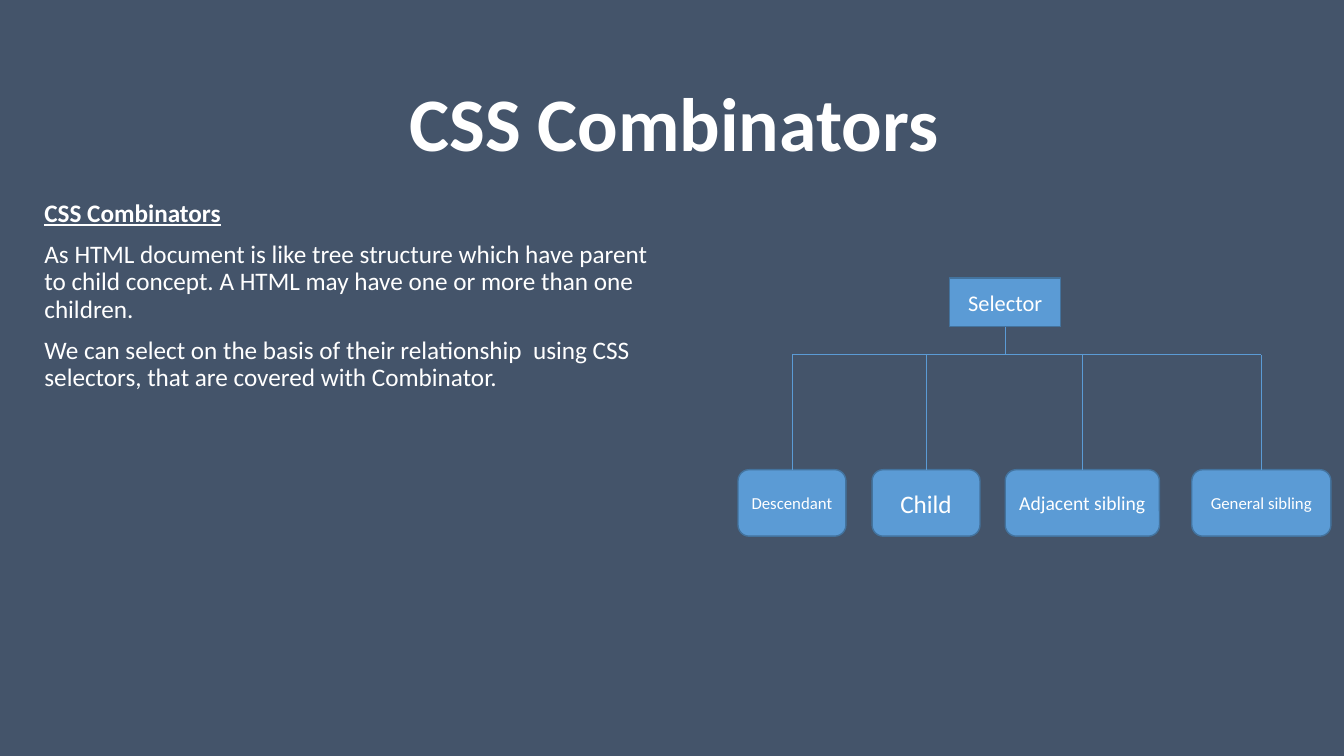
from pptx import Presentation
from pptx import util as u
from pptx.dml.color import RGBColor
from pptx.enum import shapes, text
from pptx.oxml.ns import qn
from lxml import etree

SLATE = RGBColor(0x44, 0x54, 0x6A)
WHITE = RGBColor(0xFF, 0xFF, 0xFF)
BLUE = RGBColor(0x5B, 0x9B, 0xD5)
NAVY = RGBColor(0x43, 0x73, 0x9E)
FONT = "Calibri"

INTRO = [
    ("CSS Combinators", True),
    ("As HTML document is like tree structure which have parent to child "
     "concept. A HTML may have one or more than one children.", False),
    ("We can select on the basis of their relationship  using CSS selectors, "
     "that are covered with Combinator.", False),
]
KINDS = [
    ("Descendant", 0, 1.07, 12),
    ("Child", 1.33, 1.07, 18),
    ("Adjacent sibling", 2.65, 1.53, 14),
    ("General sibling", 4.5, 1.38, 12),
]


def add_run(para, words, size, bold=False, under=False):
    run = para.add_run()
    run.text = words
    font = run.font
    font.name, font.size = FONT, u.Pt(size)
    font.bold, font.underline = bold, under
    font.color.rgb = WHITE


def place(shape, left, top, width, height):
    shape.left, shape.top = u.Inches(left), u.Inches(top)
    shape.width, shape.height = u.Inches(width), u.Inches(height)
    frame = shape.text_frame
    frame.word_wrap = True
    frame.auto_size = text.MSO_AUTO_SIZE.NONE
    return frame


def add_title(slide, left, top, width, height):
    frame = place(slide.shapes.title, left, top, width, height)
    frame.vertical_anchor = text.MSO_ANCHOR.BOTTOM
    para = frame.paragraphs[0]
    para.alignment = text.PP_ALIGN.CENTER
    para.line_spacing = 0.9
    add_run(para, "CSS Combinators", 54, bold=True)


def add_intro(slide, left, top, width, height):
    frame = place(slide.placeholders[1], left, top, width, height)
    frame.vertical_anchor = text.MSO_ANCHOR.TOP
    frame._txBody.find(qn("a:bodyPr")).set("numCol", "2")
    for i, (words, head) in enumerate(INTRO):
        para = frame.add_paragraph() if i else frame.paragraphs[0]
        para.alignment = text.PP_ALIGN.LEFT
        para.line_spacing = 0.9
        para.space_before = u.Pt(10 if i else 0)
        add_run(para, words, 18, head, head)


def add_node(slide, form, left, top, width, height, words, size):
    node = slide.shapes.add_shape(form, 0, 0, 0, 0)
    frame = place(node, left, top, width, height)
    node.shadow.inherit = False
    node.fill.solid()
    node.fill.fore_color.rgb = BLUE
    node.line.color.rgb = NAVY
    node.line.width = u.Pt(1)
    frame.vertical_anchor = text.MSO_ANCHOR.MIDDLE
    para = frame.paragraphs[0]
    para.alignment = text.PP_ALIGN.CENTER
    add_run(para, words, size)
    return node


def add_line(slide, x1, y1, x2, y2):
    line = slide.shapes.add_connector(
        shapes.MSO_CONNECTOR.STRAIGHT, *map(u.Inches, (x1, y1, x2, y2)))
    line.line.color.rgb = BLUE
    line.line.width = u.Pt(0.5)
    etree.SubElement(line._element.spPr, qn("a:effectLst"))
    return line


def add_tree(slide, left, top, width, height):
    form = shapes.MSO_SHAPE
    root_w, root_h, leaf_h = 1.1, 0.48, 0.66
    root_x = left + 2.1
    bar = top + 0.76
    row = top + height - leaf_h
    root = add_node(slide, form.RECTANGLE, root_x, top, root_w, root_h,
                    "Selector", 16)
    mid = root_x + root_w / 2
    stem = add_line(slide, mid, top + root_h, mid, bar)
    stem.begin_connect(root, 2)
    mids = []
    for words, shift, wide, size in KINDS:
        leaf = add_node(slide, form.ROUNDED_RECTANGLE, left + shift, row,
                        wide, leaf_h, words, size)
        mid = left + shift + wide / 2
        drop = add_line(slide, mid, bar, mid, row)
        drop.end_connect(leaf, 0)
        mids.append(mid)
    add_line(slide, mids[0], bar, mids[-1], bar)


def main():
    deck = Presentation()
    deck.slide_width, deck.slide_height = u.Inches(13.33), u.Inches(7.5)
    slide = deck.slides.add_slide(deck.slide_layouts[0])
    slide.background.fill.solid()
    slide.background.fill.fore_color.rgb = SLATE
    add_title(slide, 0.34, 0.9, 12.69, 0.82)
    add_intro(slide, 0.34, 1.94, 12.69, 5.25)
    add_tree(slide, 7.32, 2.76, 5.88, 2.56)
    deck.save("out.pptx")


if __name__ == "__main__":
    main()
